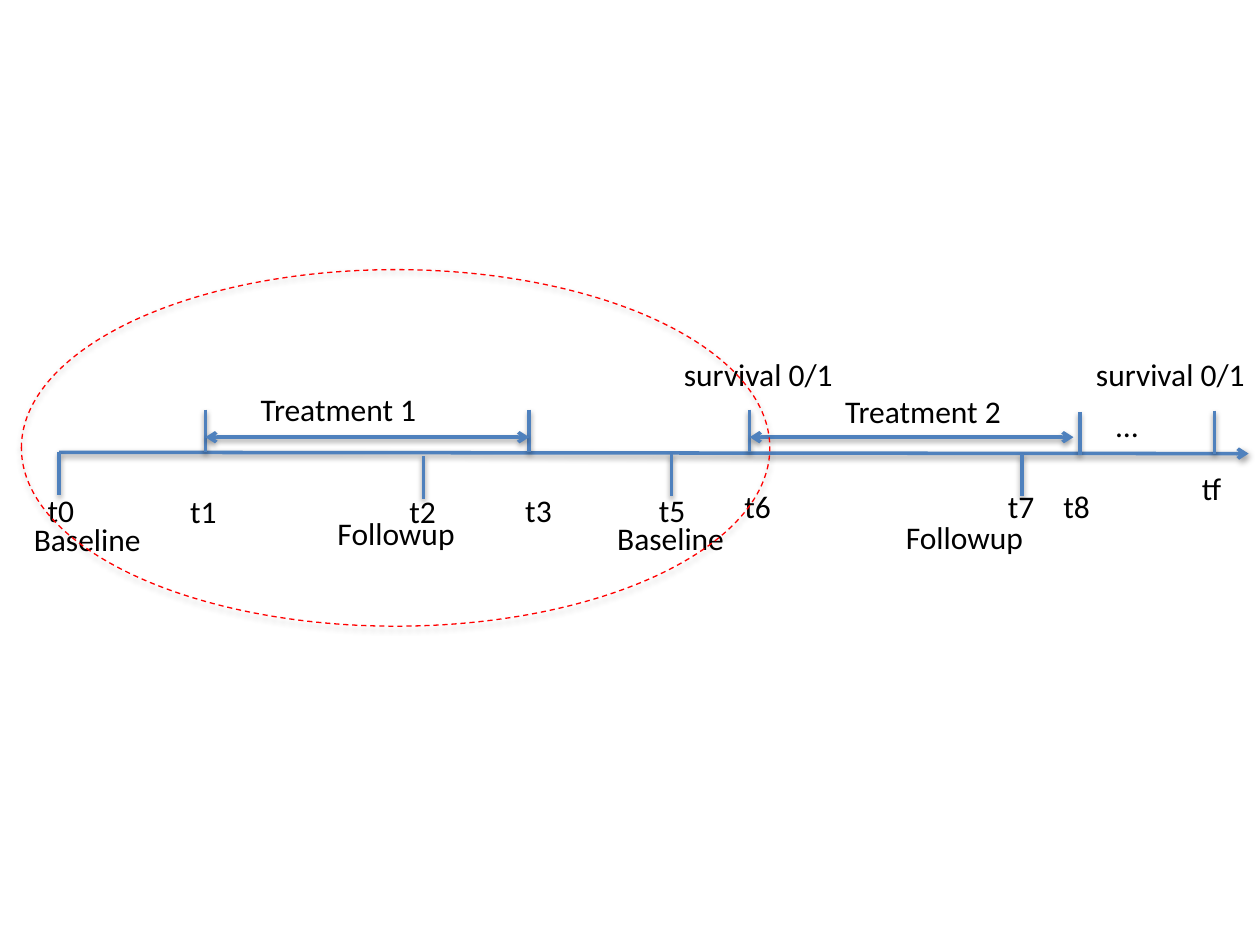
from lxml.etree import SubElement
from pptx import Presentation
from pptx.dml.color import RGBColor
from pptx.enum.dml import MSO_LINE
from pptx.enum.shapes import MSO_CONNECTOR, MSO_SHAPE
from pptx.enum.text import MSO_AUTO_SIZE
from pptx.oxml.ns import qn
from pptx.util import Inches, Pt

BLUE, RED, BLACK = "4F81BD", "FF0000", "000000"

# text, left, top, width
LABELS = [
    ("t0", 0.28, 3.85, 0.41), ("t1", 1.41, 3.86, 0.41),
    ("t2", 3.15, 3.86, 0.41), ("t3", 4.07, 3.85, 0.41),
    ("t5", 5.13, 3.85, 0.41), ("t6", 5.81, 3.82, 0.41),
    ("t7", 7.9, 3.82, 0.41), ("t8", 8.34, 3.82, 0.41),
    ("tf", 9.44, 3.67, 0.37), ("…", 8.76, 3.17, 0.38),
    ("Baseline", 0.17, 4.08, 1.06), ("Baseline", 4.8, 4.07, 1.06),
    ("Followup", 2.58, 4.03, 1.15), ("Followup", 7.09, 4.06, 1.15),
    ("survival 0/1", 5.33, 2.77, 1.4), ("survival 0/1", 8.6, 2.77, 1.4),
]
TREATMENTS = [("Treatment 1", 1.97, 3.05, 1.79),
              ("Treatment 2", 6.61, 3.06, 1.63)]
# x, top
TICKS = [(0.47, 3.59), (1.63, 3.25), (4.2, 3.25), (3.36, 3.62), (5.33, 3.6),
         (5.95, 3.25), (8.57, 3.27), (8.11, 3.6), (9.64, 3.26)]
TICK = 0.34
SPANS = [(1.63, 4.2), (5.95, 8.52)]


def color(code):
    return RGBColor.from_string(code)


def add_shadow(shape, alpha, dist):
    """Drop a soft black shadow straight below the shape."""
    effects = SubElement(shape._element.spPr, qn("a:effectLst"))
    outer = SubElement(effects, qn("a:outerShdw"), blurRad=str(Pt(3.1)),
                       dist=str(Pt(dist)), dir="5400000", rotWithShape="0")
    black = SubElement(outer, qn("a:srgbClr"), val=BLACK)
    SubElement(black, qn("a:alpha"), val=str(alpha * 1000))


def add_line(slide, start, end, heads=()):
    """Draw a line; heads names its arrow ends, headEnd before tailEnd."""
    line = slide.shapes.add_connector(
        MSO_CONNECTOR.STRAIGHT, *(Inches(v) for v in start + end))
    line.line.color.rgb = color(BLUE)
    line.line.width = Pt(2)
    for head in heads:
        SubElement(line._element.spPr.find(qn("a:ln")), qn("a:" + head),
                   type="arrow")
    add_shadow(line, alpha=38, dist=1.6)


def add_text(slide, text, left, top, width, *, wrap=False, size=18,
             font="Calibri", ink=BLACK):
    box = slide.shapes.add_textbox(Inches(left), Inches(top), Inches(width),
                                   Inches(0.4))
    frame = box.text_frame
    frame.word_wrap = wrap
    frame.auto_size = MSO_AUTO_SIZE.SHAPE_TO_FIT_TEXT
    run = frame.paragraphs[0].add_run()
    run.text = text
    run.font.size = Pt(size)
    run.font.name = font
    run.font.color.rgb = color(ink)


def add_ring(slide, left, top, width, height):
    ring = slide.shapes.add_shape(
        MSO_SHAPE.OVAL, *(Inches(v) for v in (left, top, width, height)))
    ring.fill.background()
    ring.line.color.rgb = color(RED)
    ring.line.width = Pt(0.75)
    ring.line.dash_style = MSO_LINE.DASH
    add_shadow(ring, alpha=35, dist=1.8)


def main():
    deck = Presentation()
    deck.slide_width, deck.slide_height = Inches(10), Inches(7.5)
    slide = deck.slides.add_slide(deck.slide_layouts[6])

    add_line(slide, (0.47, 3.59), (9.91, 3.6), heads=["tailEnd"])
    for x, top in TICKS:
        add_line(slide, (x, top), (x, top + TICK))
    for left, right in SPANS:
        add_line(slide, (left, 3.47), (right, 3.47),
                 heads=["headEnd", "tailEnd"])
    for label in LABELS:
        add_text(slide, *label)
    for label in TREATMENTS:
        add_text(slide, *label, wrap=True)
    add_ring(slide, 0.17, 2.14, 5.94, 2.83)

    deck.save("out.pptx")


if __name__ == "__main__":
    main()
